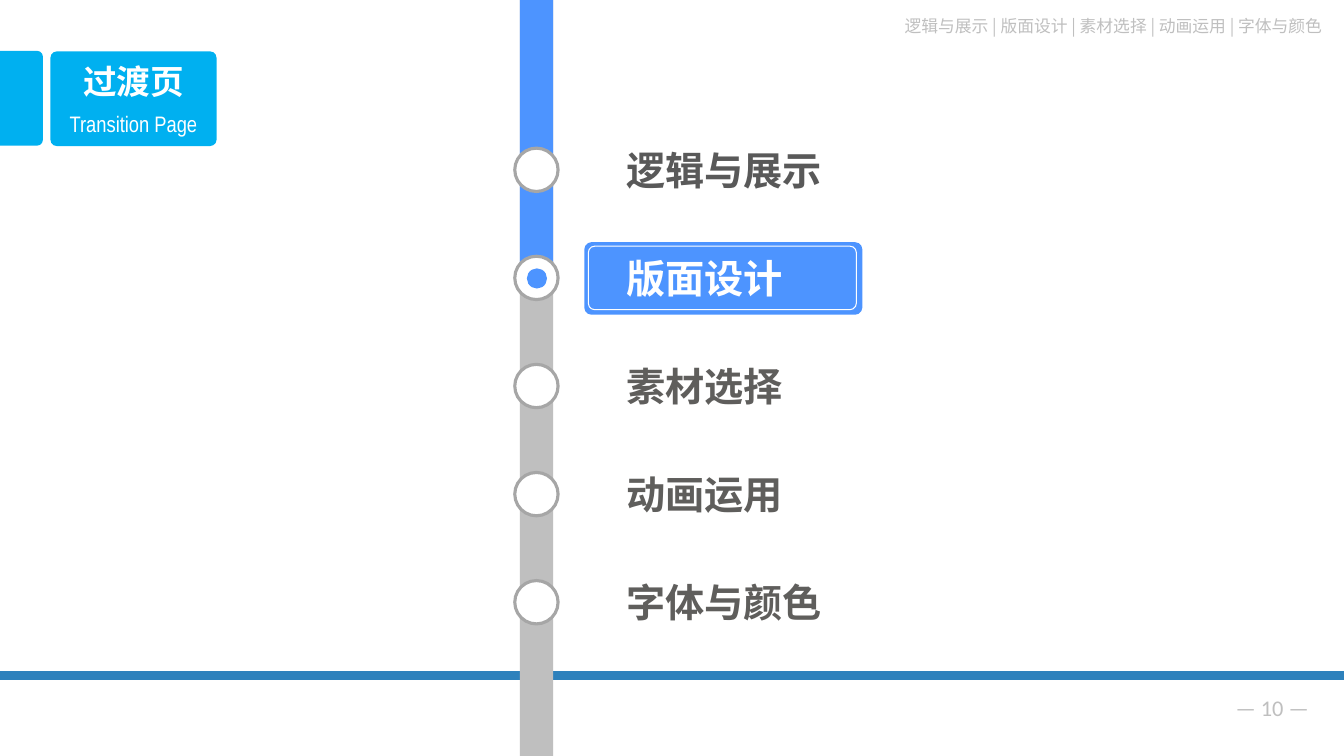
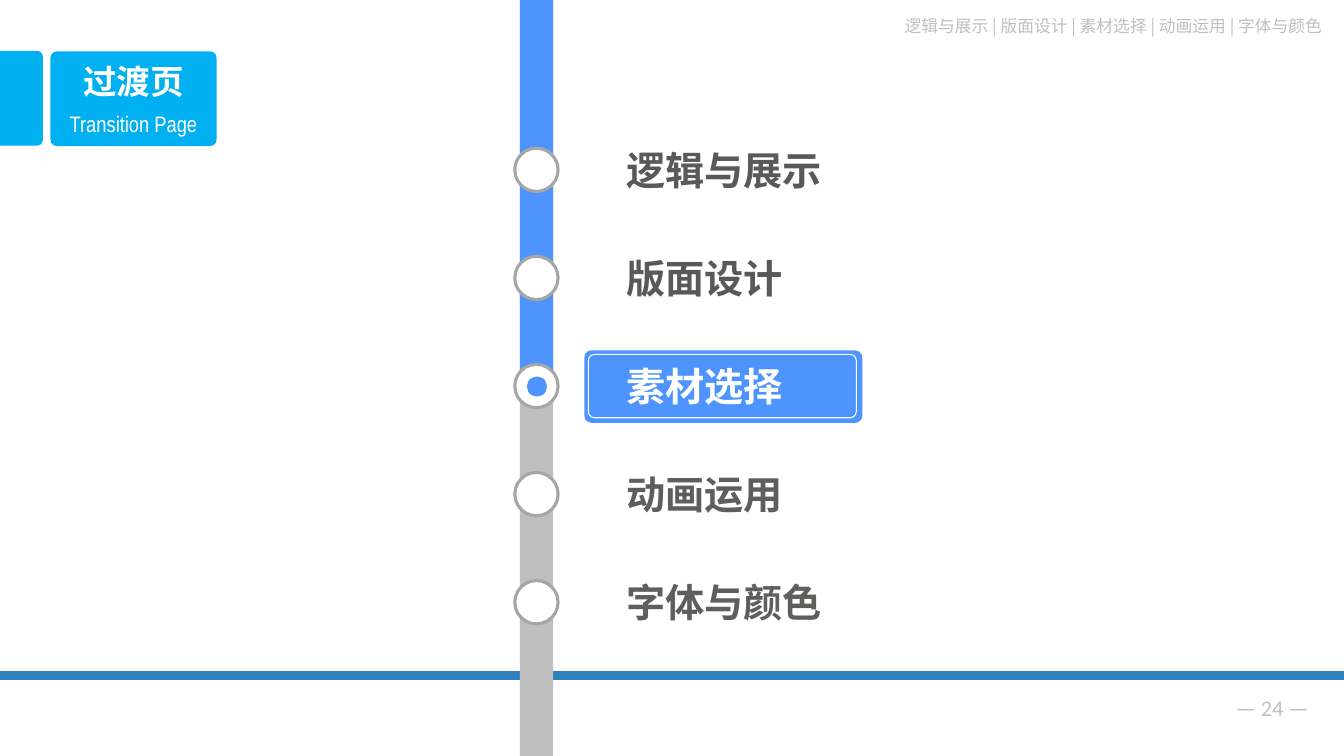
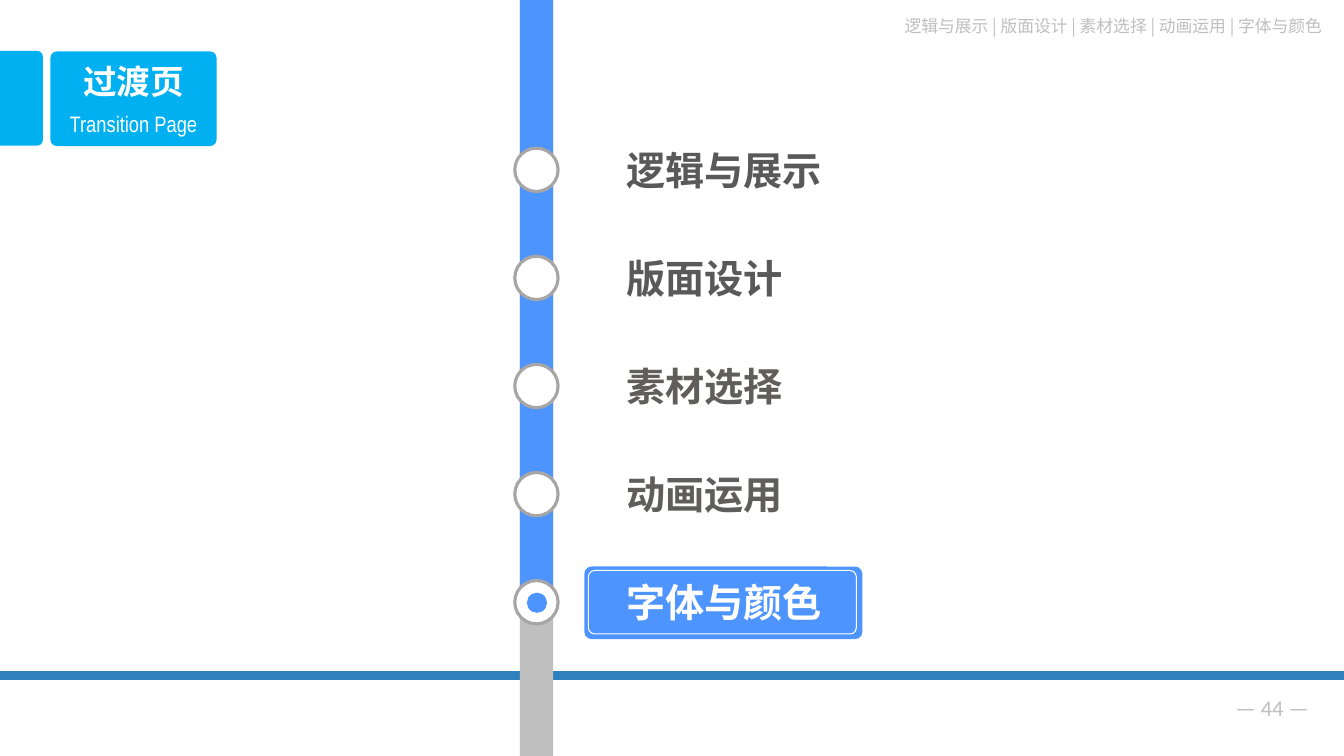
"""Build three transition slides that step through a five-part agenda."""
from dataclasses import dataclass

from lxml import etree
from pptx import Presentation
from pptx.dml.color import RGBColor
from pptx.enum.shapes import MSO_CONNECTOR, MSO_SHAPE
from pptx.enum.text import MSO_AUTO_SIZE, PP_ALIGN
from pptx.oxml.ns import qn
from pptx.util import Inches, Pt

RECT = MSO_SHAPE.RECTANGLE
ROUND = MSO_SHAPE.ROUNDED_RECTANGLE
TAB = MSO_SHAPE.ROUND_2_SAME_RECTANGLE
OVAL = MSO_SHAPE.OVAL
LINE = MSO_CONNECTOR.STRAIGHT
GROW = MSO_AUTO_SIZE.SHAPE_TO_FIT_TEXT
LEFT, MID, RIGHT = PP_ALIGN.LEFT, PP_ALIGN.CENTER, PP_ALIGN.RIGHT


@dataclass(frozen=True)
class Theme:
    """Colours, fonts and type sizes of the deck."""
    white: str = "FFFFFF"
    blue: str = "4D94FF"
    cyan: str = "00B0F0"
    rule: str = "2E81BC"
    grey: str = "BFBFBF"
    ring: str = "A6A6A6"
    dark: str = "595959"
    warm: str = "5F5E5C"
    latin: str = "Calibri"
    narrow: str = "Arial Narrow"
    hans: str = "Noto Sans CJK SC"
    kanji: str = "Noto Sans CJK JP"
    item: int = 28
    title: int = 24
    note: int = 16
    crumb: int = 12


T = Theme()


def draw(slide, kind, box, fill=None, edge=None, width=0.75, bend=None):
    """Add a flat preset shape."""
    shape = slide.shapes.add_shape(kind, *map(Inches, box))
    shape.shadow.inherit = False
    if fill:
        shape.fill.solid()
        shape.fill.fore_color.rgb = RGBColor.from_string(fill)
    else:
        shape.fill.background()
    if edge:
        shape.line.color.rgb = RGBColor.from_string(edge)
        shape.line.width = Pt(width)
    else:
        shape.line.fill.background()
    if bend:
        shape.adjustments[0] = bend
    return shape


def write(slide, text, box, size, color, face, bold=False, align=LEFT):
    """Add a one-paragraph text box."""
    frame = slide.shapes.add_textbox(*map(Inches, box)).text_frame
    frame.word_wrap = True
    frame.auto_size = GROW
    para = frame.paragraphs[0]
    para.text = text
    para.alignment = align
    font = para.font
    font.size = Pt(size)
    font.bold = bold
    font.color.rgb = RGBColor.from_string(color)
    font.name = face
    east = face if face == T.kanji else T.hans
    props = para._p.pPr.find(qn("a:defRPr"))
    etree.SubElement(props, qn("a:ea")).set("typeface", east)


prs = Presentation()
prs.slide_width, prs.slide_height = Inches(13.34), Inches(7.5)
blank = prs.slide_layouts[6]

names = ["逻辑与展示", "版面设计", "素材选择", "动画运用", "字体与颜色"]
looks = [(T.dark, T.kanji)] * 2 + [(T.warm, T.hans)] * 3
pages = [(1, 10), (2, 24), (4, 44)]
size = 0.43
first, last = 1.47, 5.76
step = (last - first) / (len(names) - 1)
tops = [first + step * i for i in range(len(names))]
slides = [prs.slides.add_slide(blank) for _ in pages]

base = slides[0]
write(base, " | ".join(names), (8.88, 0.11, 4.4, 0.3), T.crumb, T.grey, T.hans)
rule = base.shapes.add_connector(LINE, 0, Inches(6.7), Inches(13.34), Inches(6.7))
rule.line.color.rgb = RGBColor.from_string(T.rule)
rule.line.width = Pt(6)
etree.SubElement(rule._element.spPr, qn("a:effectLst"))
tab = draw(base, TAB, (-0.26, 0.76, 0.94, 0.43), T.cyan, bend=0.13)
tab.rotation = 90
draw(base, ROUND, (0.5, 0.51, 1.65, 0.94), T.cyan, bend=0.07)
write(base, "Transition Page", (0.5, 1.04, 1.65, 0.37), T.note, T.white, T.narrow, align=MID)
write(base, "过渡页", (0.5, 0.56, 1.65, 0.5), T.title, T.white, T.latin, True, MID)
for shape in list(base.shapes):
    blank.shapes._spTree.append(shape._element)

for slide, (now, page) in zip(slides, pages):
    write(slide, f"— {page} —", (11.89, 6.84, 1.2, 0.37), T.note, T.grey, T.latin, align=RIGHT)
    draw(slide, RECT, (5.16, 0, 0.33, 7.5), T.grey)
    draw(slide, RECT, (5.16, 0, 0.33, tops[now] + size / 2), T.blue)
    draw(slide, ROUND, (5.8, tops[now] - 0.14, 2.76, 0.72), T.blue, bend=0.1)
    draw(slide, ROUND, (5.84, tops[now] - 0.1, 2.66, 0.63), edge=T.white, bend=0.1)
    for i, (name, top, (color, face)) in enumerate(zip(names, tops, looks)):
        draw(slide, OVAL, (5.11, top, size, size), T.white, T.ring, 2.25)
        tint = T.white if i == now else color
        write(slide, name, (6.12, top - 0.07, 2.6, 0.57), T.item, tint, face, True)
    draw(slide, OVAL, (5.23, tops[now] + 0.12, 0.2, 0.2), T.blue)

prs.save("out.pptx")
